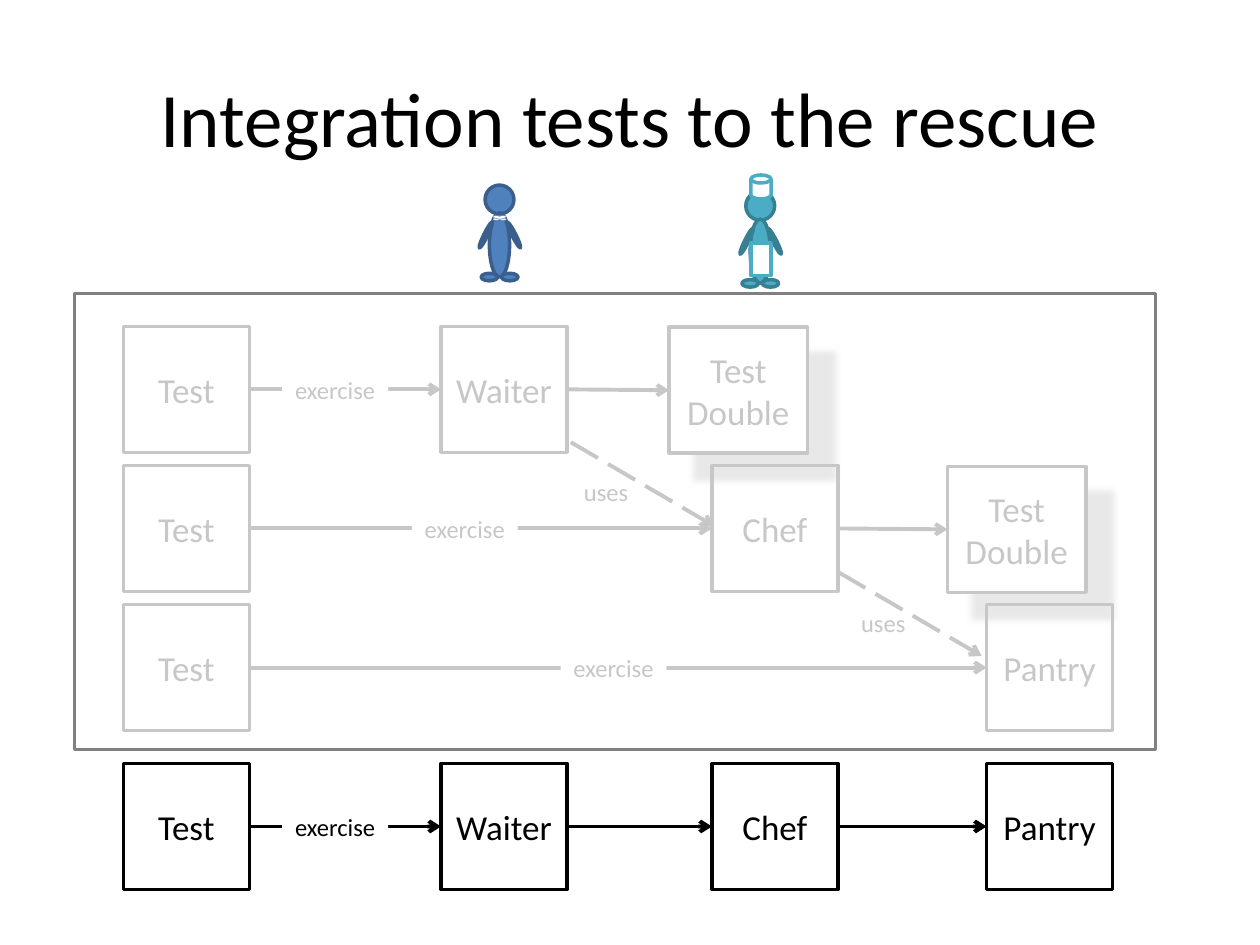
from lxml.etree import SubElement
from pptx import Presentation
from pptx.dml.color import RGBColor
from pptx.enum.dml import MSO_LINE
from pptx.enum.shapes import MSO_CONNECTOR, MSO_SHAPE
from pptx.enum.text import MSO_ANCHOR, PP_ALIGN
from pptx.oxml.ns import qn
from pptx.util import Pt

COLORS = {
    "ink": "000000", "paper": "FFFFFF", "frame": "808080",
    "waiter": "4F81BD", "waiter edge": "3A5F8C",
    "chef": "4BACC6", "chef edge": "377F92",
}
FORMATS = {
    "title": {"name": "Calibri", "size": Pt(44)},
    "box": {"name": "Calibri", "size": Pt(20)},
    "label": {"name": "Calibri", "size": Pt(14)},
}
BOX = 72
COLUMNS = {"Test": 70.5, "Waiter": 252, "Chef": 406.8, "Pantry": 563.8}
ROWS = [186.5, 266, 345.5]
INTEGRATION_ROW = 436.3
DOUBLE_WIDTH = 79.2


def add_shape(shapes, kind, at, fill="paper", line="ink", weight=2, text="", style="box"):
    """Add a preset shape; None for fill or line leaves that part out."""
    shape = shapes.add_shape(kind, *(Pt(length) for length in at))
    shape.shadow.inherit = False
    if fill:
        shape.fill.solid()
        shape.fill.fore_color.rgb = RGBColor.from_string(COLORS[fill])
    else:
        shape.fill.background()
    if line:
        shape.line.color.rgb = RGBColor.from_string(COLORS[line])
        shape.line.width = Pt(weight)
    else:
        shape.line.fill.background()
    if text:
        frame = shape.text_frame
        frame.word_wrap = style == "box"
        frame.vertical_anchor = MSO_ANCHOR.MIDDLE
        para = frame.paragraphs[0]
        para.alignment = PP_ALIGN.CENTER
        span = para.add_run()
        span.text = text
        span.font.color.rgb = RGBColor.from_string(COLORS["ink"])
        for name, value in FORMATS[style].items():
            setattr(span.font, name, value)
    return shape


def add_arrow(shapes, start, end, dashed=False):
    points = (Pt(length) for length in (*start, *end))
    arrow = shapes.add_connector(MSO_CONNECTOR.STRAIGHT, *points)
    arrow.line.color.rgb = RGBColor.from_string(COLORS["ink"])
    arrow.line.width = Pt(2.25)
    if dashed:
        arrow.line.dash_style = MSO_LINE.LONG_DASH
    SubElement(arrow.line._get_or_add_ln(), qn("a:tailEnd"), type="arrow")
    SubElement(arrow._element.spPr, qn("a:effectLst"))


deck = Presentation()
deck.slide_width, deck.slide_height = Pt(720), Pt(540)
page = deck.slides.add_slide(deck.slide_layouts[5])
shapes = page.shapes

title = shapes.title
title.left, title.top, title.width, title.height = Pt(36), Pt(21.6), Pt(648), Pt(90)
title.text_frame.text = "Integration tests to the rescue"
title.text_frame.vertical_anchor = MSO_ANCHOR.MIDDLE
title_para = title.text_frame.paragraphs[0]
title_para.alignment = PP_ALIGN.CENTER
title_font = title_para.runs[0].font
title_font.color.rgb = RGBColor.from_string(COLORS["ink"])
for name, value in FORMATS["title"].items():
    setattr(title_font, name, value)

# Each unit test exercises one class; the last row exercises the whole chain
chains = [(top, ["Test", subject]) for top, subject in zip(ROWS, ["Waiter", "Chef", "Pantry"])]
chains.append((INTEGRATION_ROW, list(COLUMNS)))
for top, chain in chains:
    middle = top + BOX / 2
    for name in chain:
        add_shape(shapes, MSO_SHAPE.RECTANGLE, (COLUMNS[name], top, BOX, BOX), text=name)
    for source, target in zip(chain, chain[1:]):
        add_arrow(shapes, (COLUMNS[source] + BOX, middle), (COLUMNS[target], middle))

for left, top in [(326.2, 252.7), (479, 326.9)]:
    add_arrow(shapes, (left, top), (left + 82, top + 48), dashed=True)

labels = [
    ("exercise", 161.3, ROWS[0] + 23.8, 60.5, "paper"),
    ("exercise", 235.4, ROWS[1] + 23.8, 60.5, "paper"),
    ("exercise", 320.4, ROWS[2] + 23.8, 60.5, "paper"),
    ("exercise", 161.3, INTEGRATION_ROW + 23.8, 60.5, "paper"),
    ("uses", 326.2, 268.6, 40.3, None),
    ("uses", 484.6, 343.6, 40.3, None),
]
for text, left, top, width, fill in labels:
    add_shape(shapes, MSO_SHAPE.RECTANGLE, (left, top, width, 24.5), fill, None,
              text=text, style="label")

# Parts are placed from the top left of the head: kind, box, rotation
body_parts = [
    (MSO_SHAPE.OVAL, (0, 0, 16.5, 16.5), 0),
    (MSO_SHAPE.OVAL, (2.5, 15.8, 11.5, 36.7), 0),
    (MSO_SHAPE.OVAL, (9.4, 50.4, 9.4, 4.3), 0),
    (MSO_SHAPE.OVAL, (-2.2, 50.4, 9.4, 4.3), 0),
    (MSO_SHAPE.OVAL, (8.2, 27.4, 16.5, 2.2), 63.1),
    (MSO_SHAPE.OVAL, (-7.9, 27.4, 16.5, 2.2), 116.2),
]
bow_tie = [(MSO_SHAPE.HEART, (4.3, 18, 8, 2.2), 180, 0.25),
           (MSO_SHAPE.HEART, (4.3, 17.3, 8, 2.2), 0, 0.25)]
buttons = [(MSO_SHAPE.OVAL, (7.2, top, 2.2, 2.2), 0, 2) for top in (23, 27.3, 31.6)]
hat_and_apron = [(MSO_SHAPE.FLOWCHART_MAGNETIC_DISK, (2.9, -9.4, 11.5, 13.7), 0, 2),
                 (MSO_SHAPE.RECTANGLE, (2.9, 29.5, 11.5, 18.7), 0, 2)]
people = [("waiter", 277.2, 105.8, bow_tie + buttons),
          ("chef", 426.2, 109.4, hat_and_apron)]
for role, x, y, outfit in people:
    person = shapes.add_group_shape()
    parts = [(*part, 2, role, role + " edge") for part in body_parts]
    parts += [(*part, "paper", role) for part in outfit]
    for kind, (left, top, width, height), rotation, weight, fill, line in parts:
        part = add_shape(person.shapes, kind, (x + left, y + top, width, height),
                         fill, line, weight)
        part.rotation = rotation

# Test doubles stand in for the next class along
for top, user, left in [(ROWS[0], "Waiter", 382.3), (ROWS[1], "Chef", 541.4)]:
    double = add_shape(shapes, MSO_SHAPE.RECTANGLE, (left, top + 0.5, DOUBLE_WIDTH, BOX),
                       text="Test Double")
    shadow = SubElement(double._element.spPr.find(qn("a:effectLst")), qn("a:outerShdw"),
                        blurRad=str(Pt(4)), dist=str(Pt(21)), dir="2700000",
                        algn="tl", rotWithShape="0")
    shade = SubElement(shadow, qn("a:srgbClr"), val=COLORS["ink"])
    SubElement(shade, qn("a:alpha"), val="40000")
    middle = top + BOX / 2
    add_arrow(shapes, (COLUMNS[user] + BOX, middle), (left, middle + 0.5))

veil = add_shape(shapes, MSO_SHAPE.RECTANGLE, (42.5, 167.8, 617.8, 260.6), line="frame")
veil_color = veil._element.spPr.find(qn("a:solidFill"))[0]
SubElement(veil_color, qn("a:alpha"), val="78000")

deck.save("out.pptx")
